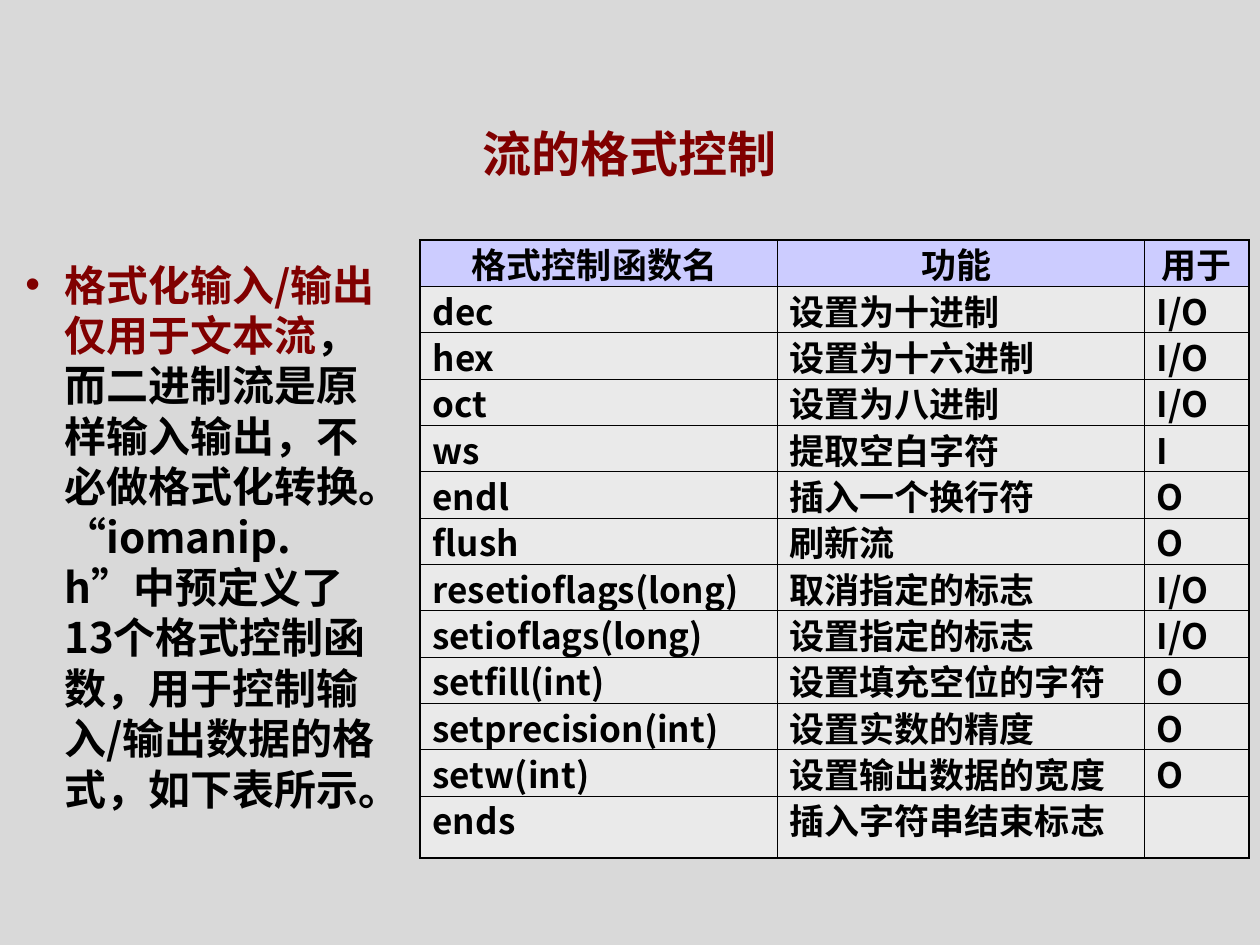
"""Build the slide on stream format control: a title, a bullet and a function table."""
from dataclasses import dataclass
from typing import NamedTuple

from lxml.etree import SubElement
from pptx import Presentation
from pptx.dml.color import RGBColor
from pptx.enum.text import MSO_ANCHOR, PP_ALIGN
from pptx.oxml.ns import qn
from pptx.util import Pt

EMU_PER_PX = 914400 / 126


@dataclass(frozen=True)
class Theme:
    background: str = "D9D9D9"
    accent: str = "800000"
    ink: str = "000000"
    header: str = "CCCCFF"
    body: str = "EAEAEA"
    font: str = "Noto Sans CJK SC"
    quote_font: str = "Arial"
    title_size: int = 28
    text_size: int = 24
    table_size: int = 20
    outer_line: float = 1.08
    inner_line: float = 0.45


class Box(NamedTuple):
    left: int
    top: int
    width: int
    height: int


class Run(NamedTuple):
    text: str
    color: str
    font: str


class Function(NamedTuple):
    name: str
    purpose: str
    used_for: str


THEME = Theme()
TITLE = Box(58, 117, 1143, 72)
INTRO = Box(13, 253, 375, 617)
TABLE = Box(420, 240, 829, 618)
COLUMNS = (357, 367, 105)
LAST_ROW = 62
INTRO_RUNS = (
    Run("格式化输入/输出仅用于文本流", THEME.accent, THEME.font),
    Run("，而二进制流是原样输入输出，不必做格式化转换。", THEME.ink, THEME.font),
    Run("“", THEME.ink, THEME.quote_font),
    Run("iomanip.h", THEME.ink, THEME.font),
    Run("”", THEME.ink, THEME.quote_font),
    Run("中预定义了13个格式控制函数，用于控制输入/输出数据的格式，如下表所示。", THEME.ink, THEME.font),
)
FUNCTIONS = (
    Function("格式控制函数名 ", "功能 ", "用于"),
    Function("dec", "设置为十进制", "I/O"),
    Function("hex", "设置为十六进制", "I/O"),
    Function("oct", "设置为八进制", "I/O"),
    Function("ws", "提取空白字符", "I"),
    Function("endl", "插入一个换行符", "O"),
    Function("flush", "刷新流", "O"),
    Function("resetioflags(long)", "取消指定的标志", "I/O"),
    Function("setioflags(long)", "设置指定的标志", "I/O"),
    Function("setfill(int)", "设置填充空位的字符", "O"),
    Function("setprecision(int)", "设置实数的精度", "O"),
    Function("setw(int)", "设置输出数据的宽度", "O"),
    Function("ends", "插入字符串结束标志", ""),
)


def px(value: int) -> int:
    """Turn px into EMU."""
    return round(value * EMU_PER_PX)


def place(box: Box) -> tuple:
    """Return a box as EMU lengths."""
    return tuple(px(v) for v in box)


def write(p, text: str, *, size: int, color: str = THEME.ink, font: str = THEME.font,
          align=PP_ALIGN.LEFT, spacing: float = 1.0) -> None:
    """Add one bold run to a paragraph with the given format."""
    p.alignment = align
    p.line_spacing = spacing
    if not text:
        return
    r = p.add_run()
    r.text = text
    r.font.size = Pt(size)
    r.font.bold = True
    r.font.name = font
    r.font.color.rgb = RGBColor.from_string(color)
    SubElement(r.font._element, qn("a:ea")).set("typeface", THEME.font)


def add_text_frame(s, box: Box, anchor):
    """Add a wrapping text box and return its text frame."""
    tf = s.shapes.add_textbox(*place(box)).text_frame
    tf.word_wrap = True
    tf.vertical_anchor = anchor
    return tf


def add_bullet(p, color: str, indent: int) -> None:
    """Give a paragraph a coloured bullet and a hanging indent."""
    pPr = p._p.get_or_add_pPr()
    pPr.set("marL", str(px(indent)))
    pPr.set("indent", str(-px(indent)))
    SubElement(SubElement(pPr, qn("a:buClr")), qn("a:srgbClr")).set("val", color)
    SubElement(pPr, qn("a:buFont")).set("typeface", THEME.quote_font)
    SubElement(pPr, qn("a:buChar")).set("char", "•")


def add_borders(cell, outer: dict) -> None:
    """Draw the four borders of a cell, heavier on the outer sides."""
    tcPr = cell._tc.get_or_add_tcPr()
    for side, is_outer in outer.items():
        width = THEME.outer_line if is_outer else THEME.inner_line
        ln = SubElement(tcPr, qn(f"a:ln{side}"), w=str(Pt(width)))
        fill = SubElement(ln, qn("a:solidFill"))
        SubElement(fill, qn("a:srgbClr")).set("val", THEME.ink)


def add_function_table(s) -> None:
    """Add the table of format control functions."""
    rows, cols = len(FUNCTIONS), len(COLUMNS)
    table = s.shapes.add_table(rows, cols, *place(TABLE)).table
    table.first_row = table.horz_banding = False
    for column, width in zip(table.columns, COLUMNS):
        column.width = px(width)
    for row in table.rows:
        row.height = px(TABLE.height - LAST_ROW) // (rows - 1)
    table.rows[rows - 1].height = px(LAST_ROW)
    for i, function in enumerate(FUNCTIONS):
        for j, text in enumerate(function):
            cell = table.cell(i, j)
            add_borders(cell, {"L": j == 0, "R": j == cols - 1,
                               "T": i == 0, "B": i == rows - 1})
            cell.fill.solid()
            cell.fill.fore_color.rgb = RGBColor.from_string(THEME.body if i else THEME.header)
            write(cell.text_frame.paragraphs[0], text, size=THEME.table_size, spacing=0.8,
                  align=PP_ALIGN.LEFT if i else PP_ALIGN.CENTER)


def main() -> None:
    """Build and save the slide."""
    prs = Presentation()
    prs.slide_width, prs.slide_height = px(1260), px(945)
    s = prs.slides.add_slide(prs.slide_layouts[6])
    s.background.fill.solid()
    s.background.fill.fore_color.rgb = RGBColor.from_string(THEME.background)

    title = add_text_frame(s, TITLE, MSO_ANCHOR.MIDDLE)
    write(title.paragraphs[0], "流的格式控制", size=THEME.title_size,
          color=THEME.accent, align=PP_ALIGN.CENTER)

    p = add_text_frame(s, INTRO, MSO_ANCHOR.TOP).paragraphs[0]
    for run in INTRO_RUNS:
        write(p, run.text, size=THEME.text_size, color=run.color, font=run.font)
    add_bullet(p, THEME.accent, 39)

    add_function_table(s)
    prs.save("out.pptx")


if __name__ == "__main__":
    main()
